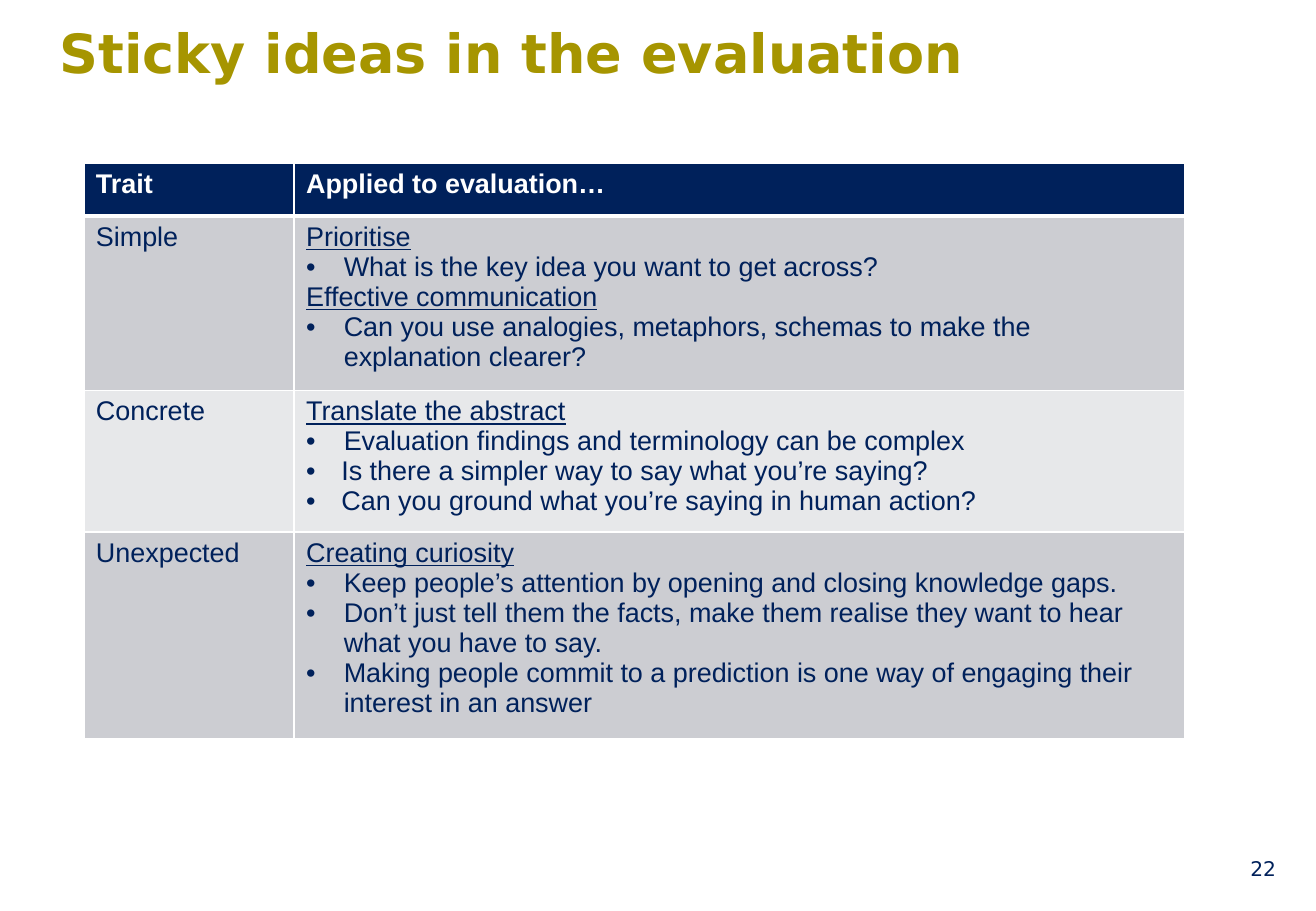
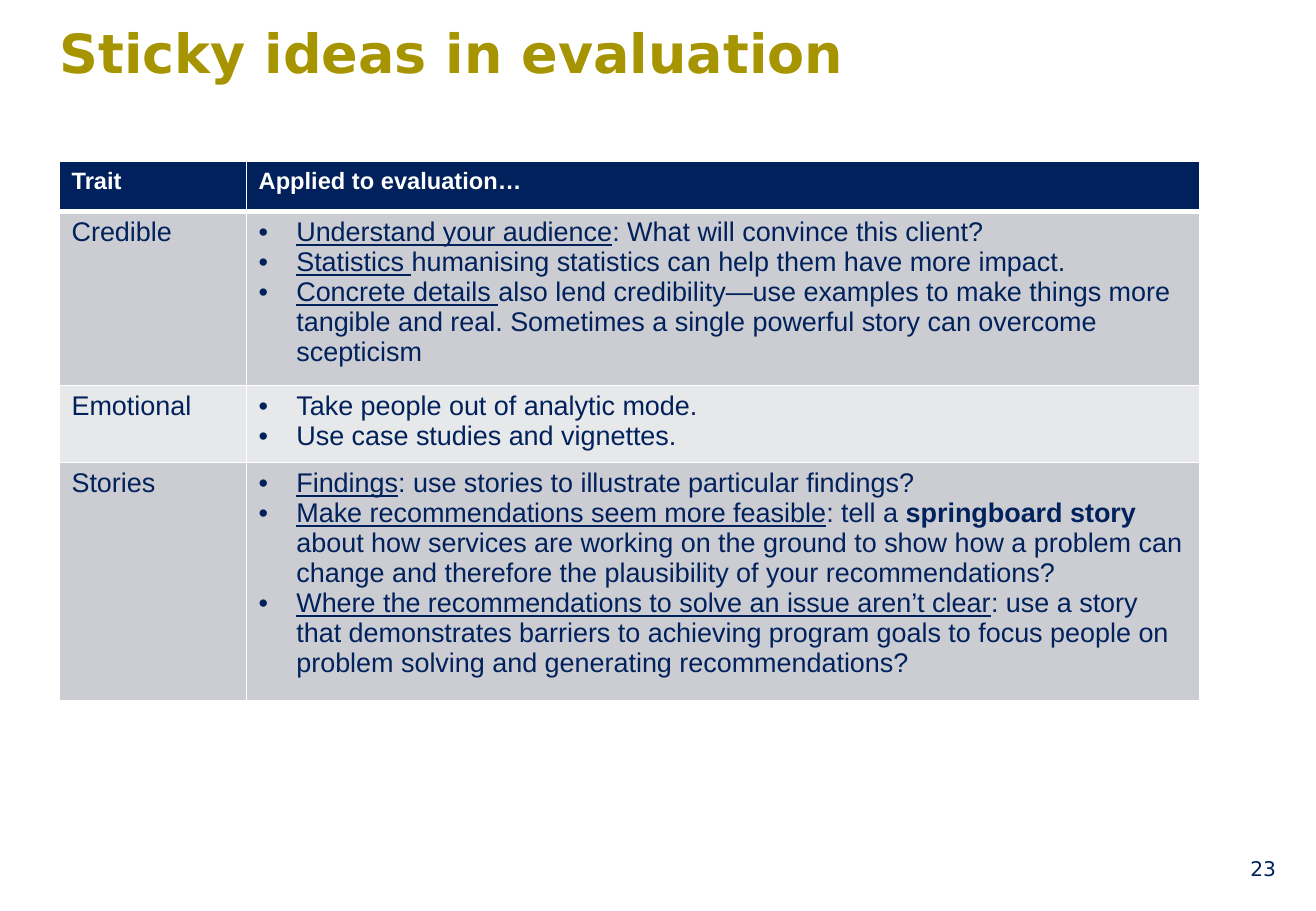
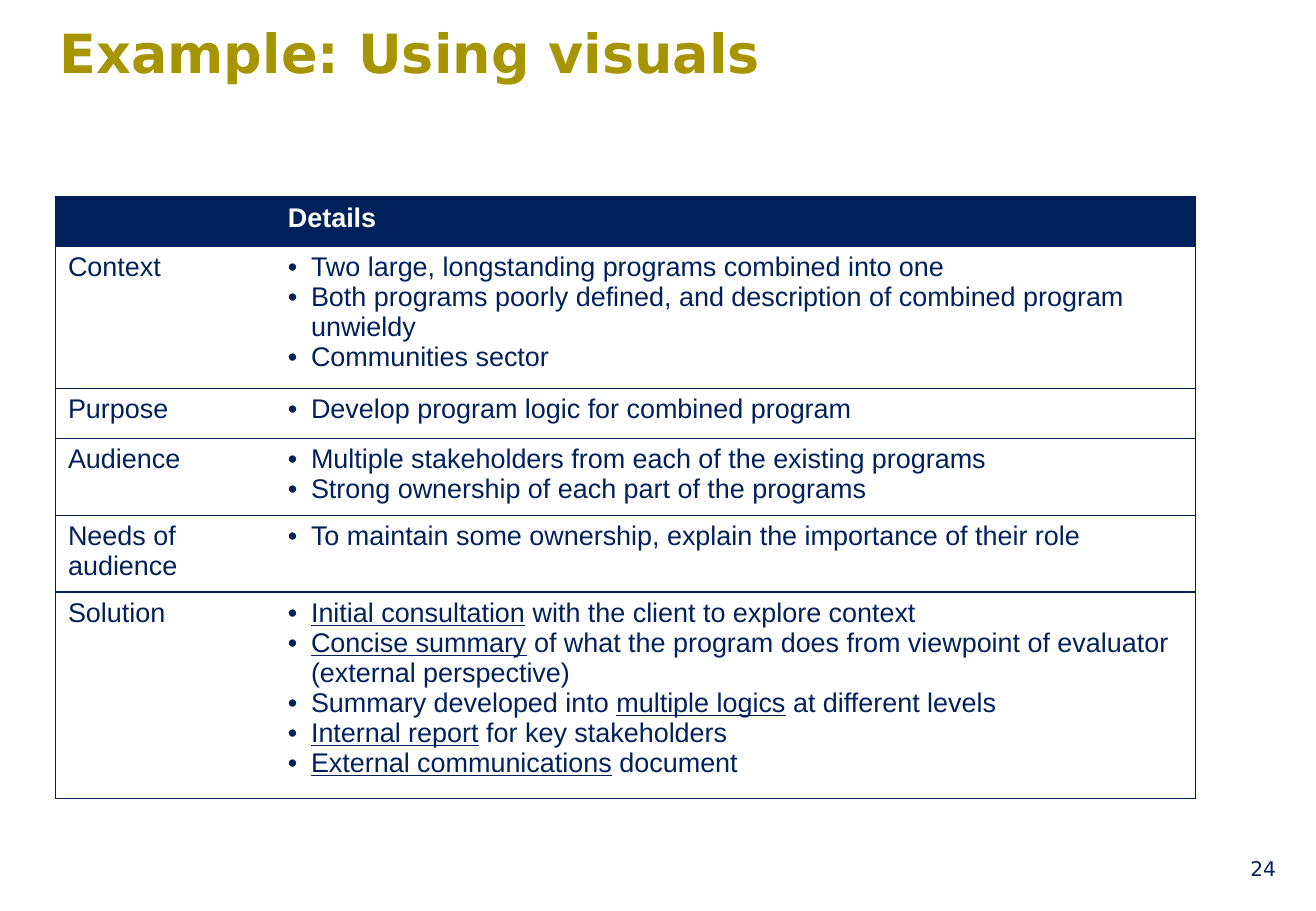
from dataclasses import dataclass

from lxml import etree
from pptx import Presentation
from pptx.dml.color import RGBColor
from pptx.enum.text import MSO_ANCHOR, MSO_AUTO_SIZE, PP_ALIGN
from pptx.oxml.ns import qn
from pptx.util import Inches, Pt

TOP, MIDDLE = MSO_ANCHOR.TOP, MSO_ANCHOR.MIDDLE
LEFT, RIGHT = PP_ALIGN.LEFT, PP_ALIGN.RIGHT
NO_AUTOFIT = MSO_AUTO_SIZE.NONE

SLIDE_WIDTH, SLIDE_HEIGHT = Inches(10.83), Inches(7.5)
TITLE_ONLY = 5
FIRST_NUMBER = 22
LINE_SHARE, PADDING_SHARE, SMALLEST_ROW = 3.29, 1.33, 5.47
HANGING, SHALLOW, NARROW = 0.31, 0.29, 0.19


@dataclass(frozen=True)
class Theme:
    navy: str = "00215B"
    olive: str = "A69500"
    white: str = "FFFFFF"
    bands: tuple = ("CCCDD2", "E7E8EA")
    rule: str = "002059"
    heading_font: str = "DejaVu Sans"
    body_font: str = "Arial"
    title_size: int = 32
    body_size: int = 16
    small_header_size: int = 14
    number_size: int = 12


THEME = Theme()


@dataclass(frozen=True)
class Line:
    runs: tuple
    indent: float = 0


@dataclass(frozen=True)
class Row:
    label: str
    lines: tuple
    height_in_lines: int


def across(percent):
    return round(SLIDE_WIDTH * percent / 100)


def down(percent):
    return round(SLIDE_HEIGHT * percent / 100)


def underlined(text):
    return text, {"underline": True}


def strong(text):
    return text, {"bold": True}


def bullet(*runs, indent=HANGING):
    return Line(runs, indent)


def point(*runs):
    return bullet(*runs, indent=NARROW)


def subheading(text):
    return Line((underlined(text),))


def write_text(paragraph, *runs, font=THEME.body_font, size=THEME.body_size,
               color=THEME.navy, bold=False, align=LEFT, indent=0):
    paragraph.alignment = align
    if indent:
        properties = paragraph._p.get_or_add_pPr()
        properties.set("marL", str(Inches(indent)))
        properties.set("indent", str(-Inches(indent)))
        etree.SubElement(properties, qn("a:buFont"), typeface=THEME.body_font)
        etree.SubElement(properties, qn("a:buChar"), char="•")
    for item in runs:
        text, style = (item, {}) if isinstance(item, str) else item
        run = paragraph.add_run()
        run.text = text
        run.font.name = font
        run.font.size = Pt(size)
        run.font.color.rgb = RGBColor.from_string(color)
        run.font.bold = style.get("bold", bold)
        run.font.underline = style.get("underline", False)


def set_borders(cell, **borders):
    properties = cell._tc.get_or_add_tcPr()
    for side in ("L", "R", "T", "B"):
        color, width = borders.get(side) or (None, 0)
        line = etree.SubElement(properties, qn(f"a:ln{side}"), w=str(Pt(width)))
        if color:
            fill = etree.SubElement(line, qn("a:solidFill"))
            etree.SubElement(fill, qn("a:srgbClr"), val=color)
        else:
            etree.SubElement(line, qn("a:noFill"))


def banded_borders(row, column):
    thin, thick = (THEME.white, 1), (THEME.white, 3)
    return {"L": thin, "R": thin,
            "T": thick if row == 1 else thin,
            "B": thick if row == 0 else thin}


def ruled_borders(row, column):
    line = (THEME.rule, 0.75)
    return {"L": line if column == 0 else None,
            "R": line if column == 1 else None, "T": line, "B": line}


def band_fill(row):
    return THEME.bands[(row - 1) % 2]


def no_fill(row):
    return None


def fill_cell(cell, color):
    if color:
        cell.fill.solid()
        cell.fill.fore_color.rgb = RGBColor.from_string(color)
    else:
        cell.fill.background()


def write_cell(cell, lines, **text_format):
    frame = cell.text_frame
    for index, line in enumerate(lines):
        paragraph = frame.add_paragraph() if index else frame.paragraphs[0]
        write_text(paragraph, *line.runs, indent=line.indent, **text_format)


def add_trait_table(slide, left, top, widths, headers, rows, *,
                    borders=banded_borders, body_fill=band_fill,
                    header_size=THEME.body_size, header_height=SMALLEST_ROW):
    heights = [header_height] + [
        max(SMALLEST_ROW, PADDING_SHARE + LINE_SHARE * row.height_in_lines)
        for row in rows]
    table = slide.shapes.add_table(
        len(heights), len(widths), across(left), down(top),
        across(sum(widths)), down(sum(heights))).table
    table.horz_banding = False
    for column, width in zip(table.columns, widths):
        column.width = across(width)
    for table_row, height in zip(table.rows, heights):
        table_row.height = down(height)

    header_lines = [(Line((text,)),) if text else () for text in headers]
    body_lines = [((Line((row.label,)),), row.lines) for row in rows]
    for row_index, contents in enumerate([header_lines, *body_lines]):
        is_header = row_index == 0
        text_format = (dict(size=header_size, color=THEME.white, bold=True)
                       if is_header else {})
        for column_index, lines in enumerate(contents):
            cell = table.cell(row_index, column_index)
            set_borders(cell, **borders(row_index, column_index))
            fill_cell(cell, THEME.navy if is_header else body_fill(row_index))
            write_cell(cell, lines, **text_format)


def add_title(slide, text):
    title = slide.shapes.title
    title.left, title.top = across(4.52), down(2.13)
    title.width, title.height = across(86.61), down(13.47)
    frame = title.text_frame
    frame.margin_left = frame.margin_right = 0
    frame.margin_top = frame.margin_bottom = 0
    frame.vertical_anchor = TOP
    frame.auto_size = NO_AUTOFIT
    write_text(frame.paragraphs[0], text, font=THEME.heading_font,
               size=THEME.title_size, color=THEME.olive, bold=True)


def add_page_number(slide, number):
    box = slide.shapes.add_textbox(across(74.52), down(92.67),
                                   across(23.36), down(5.33))
    frame = box.text_frame
    frame.word_wrap = True
    frame.vertical_anchor = MIDDLE
    write_text(frame.paragraphs[0], str(number), font=THEME.heading_font,
               size=THEME.number_size, align=RIGHT)


def add_base_slide(presentation, title):
    slide = presentation.slides.add_slide(presentation.slide_layouts[TITLE_ONLY])
    add_title(slide, title)
    add_page_number(slide, FIRST_NUMBER + len(presentation.slides) - 1)
    return slide


TRAIT_HEADERS = ("Trait", "Applied to evaluation…")

MESSAGE_TRAITS = (
    Row("Simple", (
        subheading("Prioritise"),
        bullet("What is the key idea you want to get across?"),
        subheading("Effective communication"),
        bullet("Can you use analogies, metaphors, schemas to make the explanation clearer?"),
    ), 5),
    Row("Concrete", (
        subheading("Translate the abstract"),
        bullet("Evaluation findings and terminology can be complex"),
        bullet("Is there a simpler way to say what you’re saying?", indent=SHALLOW),
        bullet("Can you ground what you’re saying in human action?", indent=SHALLOW),
    ), 4),
    Row("Unexpected", (
        subheading("Creating curiosity"),
        bullet("Keep people’s attention by opening and closing knowledge gaps."),
        bullet("Don’t just tell them the facts, make them realise they want to hear "
               "what you have to say."),
        bullet("Making people commit to a prediction is one way of engaging their "
               "interest in an answer"),
    ), 6),
)

AUDIENCE_TRAITS = (
    Row("Credible", (
        bullet(underlined("Understand your audience"),
               ": What will convince this client?"),
        bullet(underlined("Statistics "),
               "humanising statistics can help them have more impact."),
        bullet(underlined("Concrete details "),
               "also lend credibility—use examples to make things more tangible and "
               "real. Sometimes a single powerful story can overcome scepticism"),
    ), 5),
    Row("Emotional", (
        bullet("Take people out of analytic mode."),
        bullet("Use case studies and vignettes."),
    ), 2),
    Row("Stories", (
        bullet(underlined("Findings"),
               ": use stories to illustrate particular findings?"),
        bullet(underlined("Make recommendations seem more feasible"),
               ": tell a ", strong("springboard story "),
               "about how services are working on the ground to show how a problem can "
               "change and therefore the plausibility of your recommendations?"),
        bullet(underlined("Where the recommendations to solve an issue aren’t clear"),
               ": use a story that demonstrates barriers to achieving program goals to "
               "focus people on problem solving and generating recommendations?"),
    ), 7),
)

VISUALS_EXAMPLE = (
    Row("Context", (
        point("Two large, longstanding programs combined into one"),
        point("Both programs poorly defined, and description of combined program unwieldy"),
        point("Communities sector"),
    ), 4),
    Row("Purpose", (point("Develop program logic for combined program"),), 1),
    Row("Audience", (
        point("Multiple stakeholders from each of the existing programs"),
        point("Strong ownership of each part of the programs"),
    ), 2),
    Row("Needs of audience", (
        point("To maintain some ownership, explain the importance of their role"),
    ), 2),
    Row("Solution", (
        point(underlined("Initial consultation"), " with the client to explore context"),
        point(underlined("Concise summary"),
              " of what the program does from viewpoint of evaluator (external perspective)"),
        point("Summary developed into ", underlined("multiple logics"),
              " at different levels"),
        point(underlined("Internal report"), " for key stakeholders"),
        point(underlined("External communications"), " document"),
    ), 6),
)


def main():
    presentation = Presentation()
    presentation.slide_width = SLIDE_WIDTH
    presentation.slide_height = SLIDE_HEIGHT

    slide = add_base_slide(presentation, "Sticky ideas in the evaluation")
    add_trait_table(slide, 6.37, 17.87, (15.97, 67.68), TRAIT_HEADERS,
                    MESSAGE_TRAITS, header_height=5.87)

    slide = add_base_slide(presentation, "Sticky ideas in evaluation")
    add_trait_table(slide, 4.52, 17.73, (14.22, 72.39), TRAIT_HEADERS,
                    AUDIENCE_TRAITS, header_size=THEME.small_header_size)

    slide = add_base_slide(presentation, "Example: Using visuals")
    add_trait_table(slide, 4.25, 21.6, (16.71, 69.9), ("", "Details"),
                    VISUALS_EXAMPLE, borders=ruled_borders, body_fill=no_fill)

    presentation.save("out.pptx")


if __name__ == "__main__":
    main()
